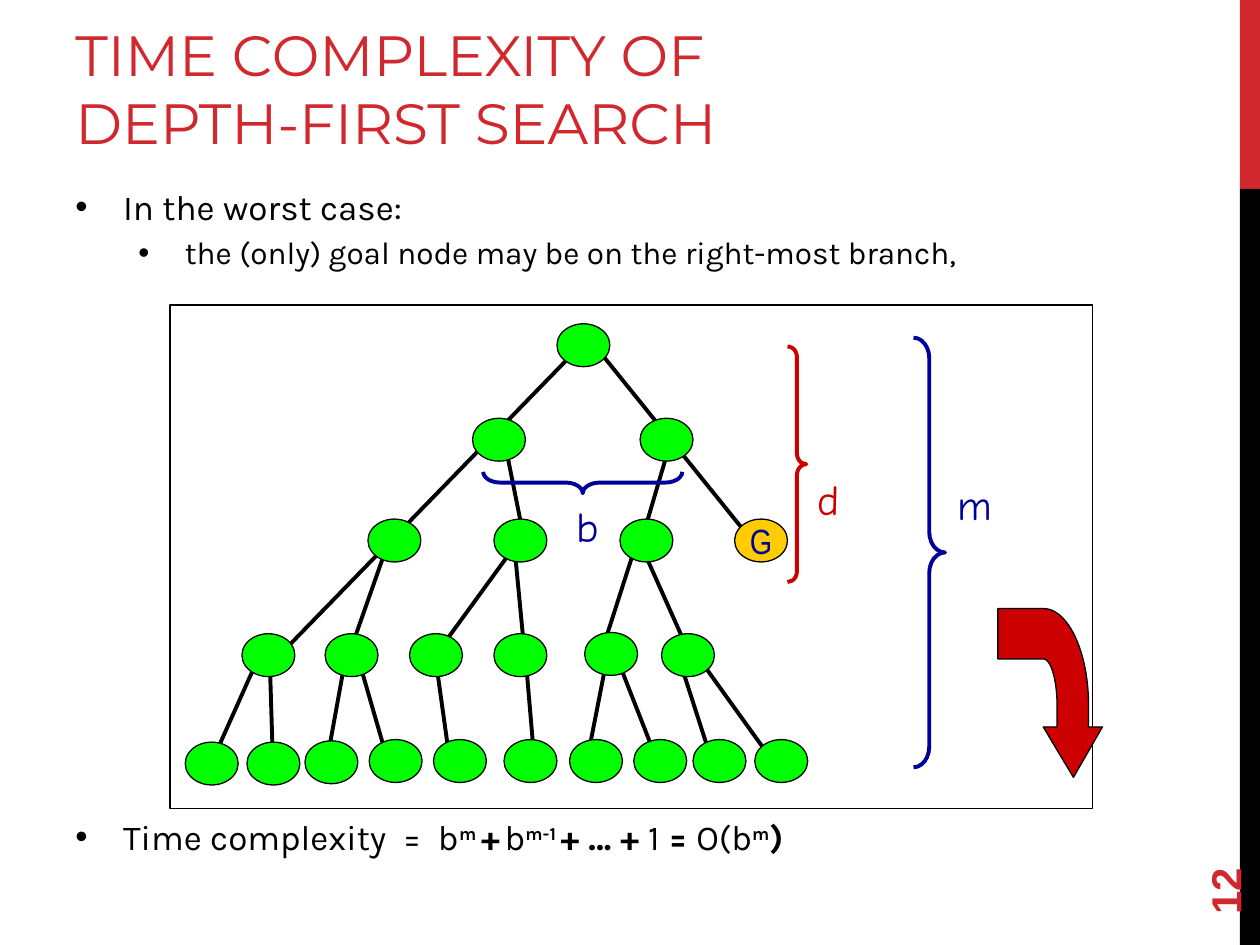
from math import cos, pi, sin

from pptx import Presentation
from pptx.dml.color import RGBColor
from pptx.enum.shapes import MSO_CONNECTOR, MSO_SHAPE as SHAPE
from pptx.enum.text import MSO_ANCHOR as ANCHOR, MSO_AUTO_SIZE, PP_ALIGN
from pptx.oxml.xmlchemy import OxmlElement
from pptx.util import Inches, Pt

BLACK = RGBColor(0x00, 0x00, 0x00)
WHITE = RGBColor(0xFF, 0xFF, 0xFF)
CRIMSON = RGBColor(0xD1, 0x28, 0x2E)
RED = RGBColor(0xCC, 0x00, 0x00)
NAVY = RGBColor(0x00, 0x00, 0x99)
GREEN = RGBColor(0x00, 0xFF, 0x00)
GOLD = RGBColor(0xFF, 0xCC, 0x00)

NODE_SIZE = (0.42, 0.34)
NODE_ROWS = {
    2.57: [4.42],
    3.32: [3.75, 5.08],
    4.12: [2.92, 3.92, 4.92],
    5.02: [4.64],
    5.03: [1.92, 2.58, 3.25, 3.92, 5.25],
    5.87: [2.93, 3.44, 4, 4.52, 5.03, 5.5, 5.99],
    5.88: [2.42],
    5.89: [1.47, 1.96],
}
EDGES = [
    (4.67, 2.68, 2.17, 5.25), (4.67, 2.68, 6, 4.33),
    (4, 3.48, 4.17, 4.33), (5.33, 3.48, 5.08, 4.33),
    (3.08, 4.31, 2.75, 5.25), (4.17, 4.22, 3.42, 5.25),
    (4.08, 4.31, 4.17, 5.25), (5.08, 4.22, 4.75, 5.25),
    (5.08, 4.31, 5.5, 5.25), (2.06, 5.2, 1.64, 6.14),
    (2.14, 5.2, 2.17, 6.17), (2.75, 5.18, 2.58, 6.12),
    (2.83, 5.18, 3.11, 6.15), (3.46, 5.25, 3.58, 6.11),
    (4.17, 5.2, 4.25, 6.14), (4.83, 5.16, 4.65, 6.08),
    (4.88, 5.18, 5.26, 6.15), (5.38, 5.2, 5.67, 6.1),
    (5.5, 5.16, 6.19, 6.12),
]
FORMULA = [
    ("Time complexity  =  b", 20, False, False),
    ("m ", 18, True, True), ("+", 20, True, False), (" ", 18, True, True),
    ("b", 20, False, False), ("m-1 ", 18, True, True),
    ("+ … + ", 20, True, False), ("1", 20, False, False),
    (" = ", 20, True, False), ("O(b", 20, False, False),
    ("m", 18, True, True), (")", 20, True, False),
]


class Deck:
    def __init__(self):
        self.prs = Presentation()
        self.prs.slide_width, self.prs.slide_height = Inches(10), Inches(7.5)
        self.s = self.prs.slides.add_slide(self.prs.slide_layouts[6])

    def paint(self, sp, fill, line, width):
        sp.shadow.inherit = False
        if fill is None:
            sp.fill.background()
        else:
            sp.fill.solid()
            sp.fill.fore_color.rgb = fill
        if line is None:
            sp.line.fill.background()
        else:
            sp.line.color.rgb = line
            sp.line.width = Pt(width)

    def shape(self, kind, at, fill=None, line=None, width=0.75):
        sp = self.s.shapes.add_shape(kind, *map(Inches, at))
        self.paint(sp, fill, line, width)
        return sp

    def brace(self, kind, at, curve, color, rotation=0):
        sp = self.shape(kind, at, line=color, width=2.25)
        sp.adjustments[0], sp.adjustments[1] = curve, 0.5
        sp.rotation = rotation

    def edge(self, *ends):
        c = self.s.shapes.add_connector(MSO_CONNECTOR.STRAIGHT, *map(Inches, ends))
        c.line.color.rgb = BLACK
        c.line.width = Pt(2.25)
        c._element.spPr.append(OxmlElement("a:effectLst"))

    def polygon(self, points, fill):
        pts = [(Inches(x), Inches(y)) for x, y in points]
        fb = self.s.shapes.build_freeform(*pts[0])
        fb.add_line_segments(pts[1:], close=True)
        self.paint(fb.convert_to_shape(), fill, BLACK, 0.75)

    def text(self, at, anchor=ANCHOR.TOP):
        sp = self.s.shapes.add_textbox(*map(Inches, at))
        sp.text_frame.word_wrap = True
        sp.text_frame.vertical_anchor = anchor
        return sp

    def run(self, p, text, size, font, color, bold=False, raised=False):
        r = p.add_run()
        r.text = text
        r.font.size, r.font.name, r.font.bold = Pt(size), font, bold
        r.font.color.rgb = color
        if raised:
            r.font._element.set("baseline", "30000")

    def label(self, text, at, color):
        tf = self.text(at).text_frame
        tf.auto_size = MSO_AUTO_SIZE.SHAPE_TO_FIT_TEXT
        self.run(tf.paragraphs[0], text, 24, "Comic Neue", color)

    def bullet(self, p, runs, margin, hang, level=0, before=0):
        p.level = level
        p.space_before = Pt(before)
        pPr = p._p.get_or_add_pPr()
        pPr.set("marL", str(Inches(margin)))
        pPr.set("indent", str(Inches(-hang)))
        for tag, key, value in (("a:buFont", "typeface", "Arial"), ("a:buChar", "char", "•")):
            el = OxmlElement(tag)
            el.set(key, value)
            pPr.append(el)
        for text, size, bold, raised in runs:
            self.run(p, text, size, "Karla", BLACK, bold, raised)


def arc(rx, ry, start, end, steps=24):
    angles = [start + (end - start) * i / steps for i in range(steps + 1)]
    return [(8.28 + rx * cos(a), 5.6 - ry * sin(a)) for a in angles]


def main():
    d = Deck()
    d.shape(SHAPE.RECTANGLE, (9.84, 0, 0.16, 1.5), CRIMSON)
    d.shape(SHAPE.RECTANGLE, (9.84, 1.5, 0.16, 6), BLACK)
    d.shape(SHAPE.RECTANGLE, (1.35, 2.42, 7.32, 4), WHITE, BLACK)

    p = d.text((0.5, 0.17, 8.84, 1.12), ANCHOR.BOTTOM).text_frame.paragraphs[0]
    d.run(p, "TIME COMPLEXITY OF ", 32.4, "Montserrat", CRIMSON)
    p.add_line_break()
    d.run(p, "DEPTH-FIRST SEARCH", 32.4, "Montserrat", CRIMSON)

    number = d.text((9, 6.44, 1.44, 0.4), ANCHOR.MIDDLE)
    number.rotation = 270
    d.run(number.text_frame.paragraphs[0], "12", 24, "Arial", CRIMSON, True)

    tf = d.text((0.5, 1.42, 9, 5.92)).text_frame
    d.bullet(tf.paragraphs[0], [("In the worst case:", 20, False, False)], 0.38, 0.38)
    d.bullet(tf.add_paragraph(),
             [(" the (only) goal node may be on the right-most branch,", 18, False, False)],
             0.81, 0.31, level=1, before=3.6)

    for ends in EDGES:
        d.edge(*ends)
    for y, xs in NODE_ROWS.items():
        for x in xs:
            d.shape(SHAPE.OVAL, (x, y, *NODE_SIZE), GREEN, BLACK)
    goal = d.shape(SHAPE.OVAL, (5.83, 4.12, *NODE_SIZE), GOLD, BLACK)
    tf = goal.text_frame
    tf.word_wrap = False
    tf.vertical_anchor = ANCHOR.MIDDLE
    tf.paragraphs[0].alignment = PP_ALIGN.CENTER
    d.run(tf.paragraphs[0], "G", 20, "Arial Narrow", NAVY)

    d.brace(SHAPE.RIGHT_BRACE, (7.25, 2.68, 0.25, 3.41), 0.65, NAVY)
    d.label("m", (7.5, 3.75, 0.46, 0.5), NAVY)
    d.brace(SHAPE.LEFT_BRACE, (4.54, 3.04, 0.17, 1.58), 0.79, NAVY, 270)
    d.label("b", (4.48, 3.92, 0.4, 0.5), NAVY)
    d.brace(SHAPE.RIGHT_BRACE, (6.25, 2.75, 0.15, 1.87), 0.56, RED)
    d.label("d", (6.39, 3.71, 0.34, 0.42), RED)

    tf = d.text((0.5, 6.42, 9, 1.08)).text_frame
    d.bullet(tf.paragraphs[0], FORMULA, 0.38, 0.38)

    d.polygon([(8.52, 6.17), (8.75, 5.77), (8.64, 5.77), *arc(0.36, 0.77, 0, pi / 2),
               (7.92, 4.83), (7.92, 5.23), *arc(0.11, 0.37, pi / 2, 0),
               (8.39, 5.77), (8.28, 5.77)], RED)
    d.prs.save("out.pptx")


if __name__ == "__main__":
    main()
